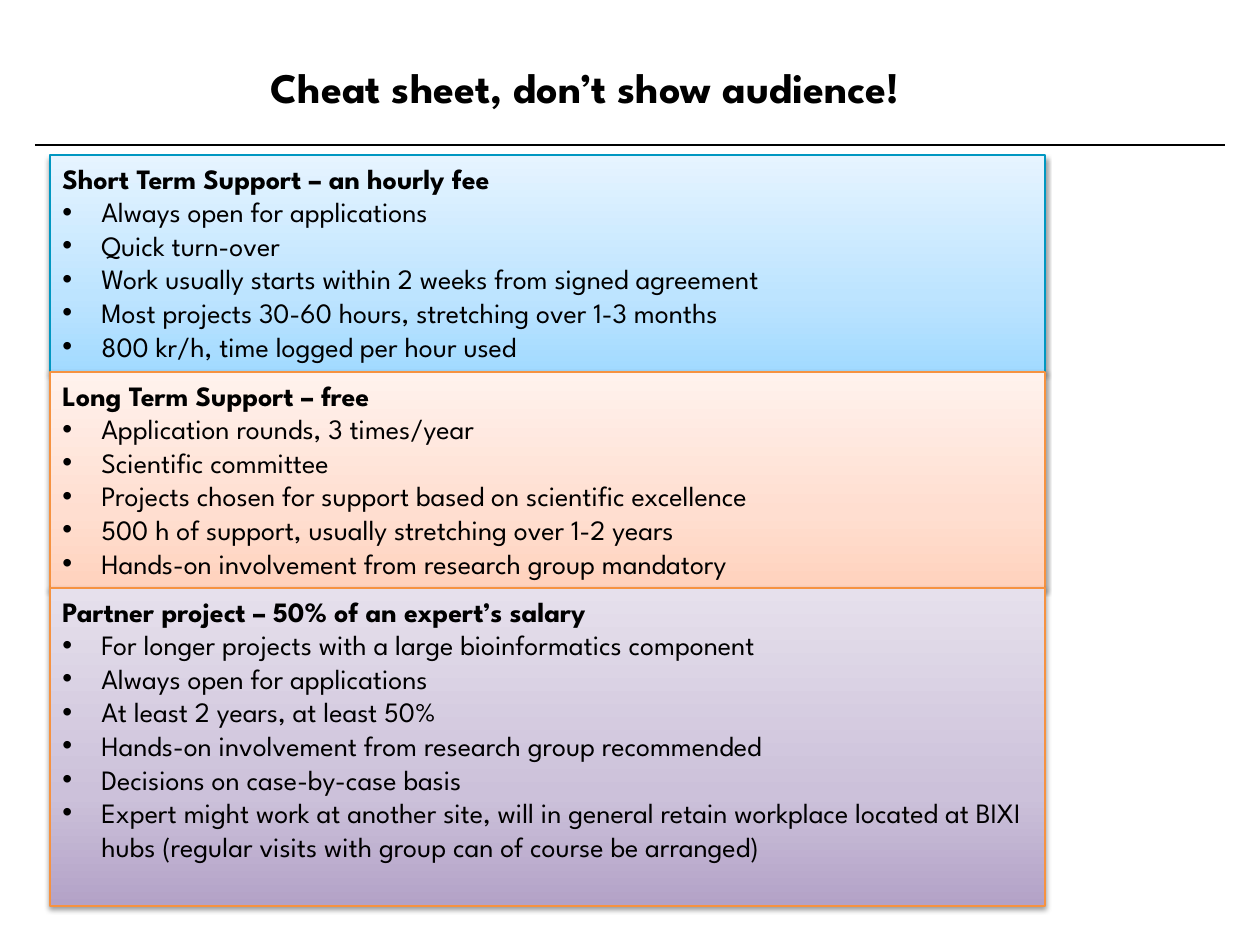
from copy import deepcopy

from lxml.etree import SubElement
from pptx import Presentation
from pptx.dml.color import RGBColor
from pptx.enum.shapes import MSO_CONNECTOR, MSO_SHAPE
from pptx.enum.text import MSO_ANCHOR, PP_ALIGN
from pptx.oxml import parse_xml
from pptx.oxml.ns import nsdecls, qn
from pptx.util import Pt

PX = 914400 / 126
FONT = "League Spartan"
BLACK = RGBColor(0x00, 0x00, 0x00)
TEAL = RGBColor(0x00, 0x97, 0xC1)
ORANGE = RGBColor(0xF6, 0x92, 0x40)
# Gradients run from the bottom of a panel to its top
BLUES = [RGBColor(0xA2, 0xDA, 0xFF), RGBColor(0xBD, 0xE4, 0xFF), RGBColor(0xE6, 0xF4, 0xFF)]
PEACHES = [RGBColor(0xFF, 0xD2, 0xBD), RGBColor(0xFF, 0xDE, 0xD0), RGBColor(0xFF, 0xF2, 0xED)]
PURPLES = [RGBColor(0xB3, 0xA2, 0xC7), RGBColor(0xCC, 0xC1, 0xDA), RGBColor(0xE6, 0xE0, 0xEC)]
GRADIENT_POSITIONS = [0, 0.35, 1]

PANEL_LEFT, PANEL_TOP, PANEL_WIDTH = 50, 155, 995
BULLET_INDENT = 39

# Height, gradient, outline, heading, bullet points
SUPPORT_TYPES = [
    (217, BLUES, TEAL, "Short Term Support – an hourly fee", [
        "Always open for applications",
        "Quick turn-over",
        "Work usually starts within 2 weeks from signed agreement",
        "Most projects 30-60 hours, stretching over 1-3 months",
        "800 kr/h, time logged per hour used",
    ]),
    (216, PEACHES, ORANGE, "Long Term Support – free", [
        "Application rounds, 3 times/year",
        "Scientific committee",
        "Projects chosen for support based on scientific excellence",
        "500 h of support, usually stretching over 1-2 years",
        "Hands-on involvement from research group mandatory",
    ]),
    (318, PURPLES, ORANGE, "Partner project – 50% of an expert’s salary", [
        "For longer projects with a large bioinformatics component",
        "Always open for applications",
        "At least 2 years, at least 50%",
        "Hands-on involvement from research group recommended",
        "Decisions on case-by-case basis",
        "Expert might work at another site, will in general retain workplace located at BIXI "
        "hubs (regular visits with group can of course be arranged)",
    ]),
]


def px(*lengths):
    return [round(length * PX) for length in lengths]


def write(paragraph, text, size, bold=False):
    paragraph.text = text
    font = paragraph.runs[0].font
    font.name, font.size, font.bold = FONT, Pt(size), bold
    font.color.rgb = BLACK


def add_bullet(paragraph):
    indent = px(BULLET_INDENT)[0]
    properties = paragraph._p.get_or_add_pPr()
    properties.set("marL", str(indent))
    properties.set("indent", str(-indent))
    SubElement(properties, qn("a:buFont"), typeface="Arial")
    SubElement(properties, qn("a:buChar"), char="•")


def fill_upwards(fill, colours):
    fill.gradient()
    fill.gradient_angle = 90
    first_stop = fill.gradient_stops[0]._gs
    first_stop.addnext(deepcopy(first_stop))
    for stop, position, colour in zip(fill.gradient_stops, GRADIENT_POSITIONS, colours):
        stop.position = position
        stop.color.rgb = colour


def add_soft_shadow(shape):
    shape.shadow.inherit = False
    effects = shape._element.spPr.find(qn("a:effectLst"))
    effects.append(parse_xml(
        f'<a:outerShdw {nsdecls("a")} blurRad="40000" dist="20000" dir="5400000" rotWithShape="0">'
        '<a:srgbClr val="000000"><a:alpha val="38000"/></a:srgbClr></a:outerShdw>'))


def add_title(slide, text):
    title = slide.shapes.add_textbox(*px(207, 50, 756, 74))
    frame = title.text_frame
    frame.word_wrap = True
    frame.vertical_anchor = MSO_ANCHOR.MIDDLE
    write(frame.paragraphs[0], text, 24, bold=True)
    frame.paragraphs[0].alignment = PP_ALIGN.CENTER


def add_title_rule(slide):
    rule = slide.shapes.add_connector(MSO_CONNECTOR.STRAIGHT, *px(35, 145, 1225, 145))
    rule.line.color.rgb = BLACK
    rule.line.width = Pt(1)
    SubElement(rule._element.spPr, qn("a:effectLst"))


def add_panel(slide, top, height, colours, outline, heading, points):
    panel = slide.shapes.add_shape(
        MSO_SHAPE.RECTANGLE, *px(PANEL_LEFT, top, PANEL_WIDTH, height))
    fill_upwards(panel.fill, colours)
    panel.line.color.rgb = outline
    panel.line.width = Pt(0.75)
    add_soft_shadow(panel)

    frame = panel.text_frame
    frame.word_wrap = True
    frame.vertical_anchor = MSO_ANCHOR.TOP
    write(frame.paragraphs[0], heading, 16, bold=True)
    for point in points:
        paragraph = frame.add_paragraph()
        write(paragraph, point, 16)
        add_bullet(paragraph)
    for paragraph in frame.paragraphs:
        paragraph.alignment = PP_ALIGN.LEFT


def main():
    presentation = Presentation()
    presentation.slide_width, presentation.slide_height = px(1260, 945)
    slide = presentation.slides.add_slide(presentation.slide_layouts[6])
    add_title_rule(slide)
    add_title(slide, "Cheat sheet, don’t show audience!")
    top = PANEL_TOP
    for height, *content in SUPPORT_TYPES:
        add_panel(slide, top, height, *content)
        top += height
    presentation.save("out.pptx")


if __name__ == "__main__":
    main()
